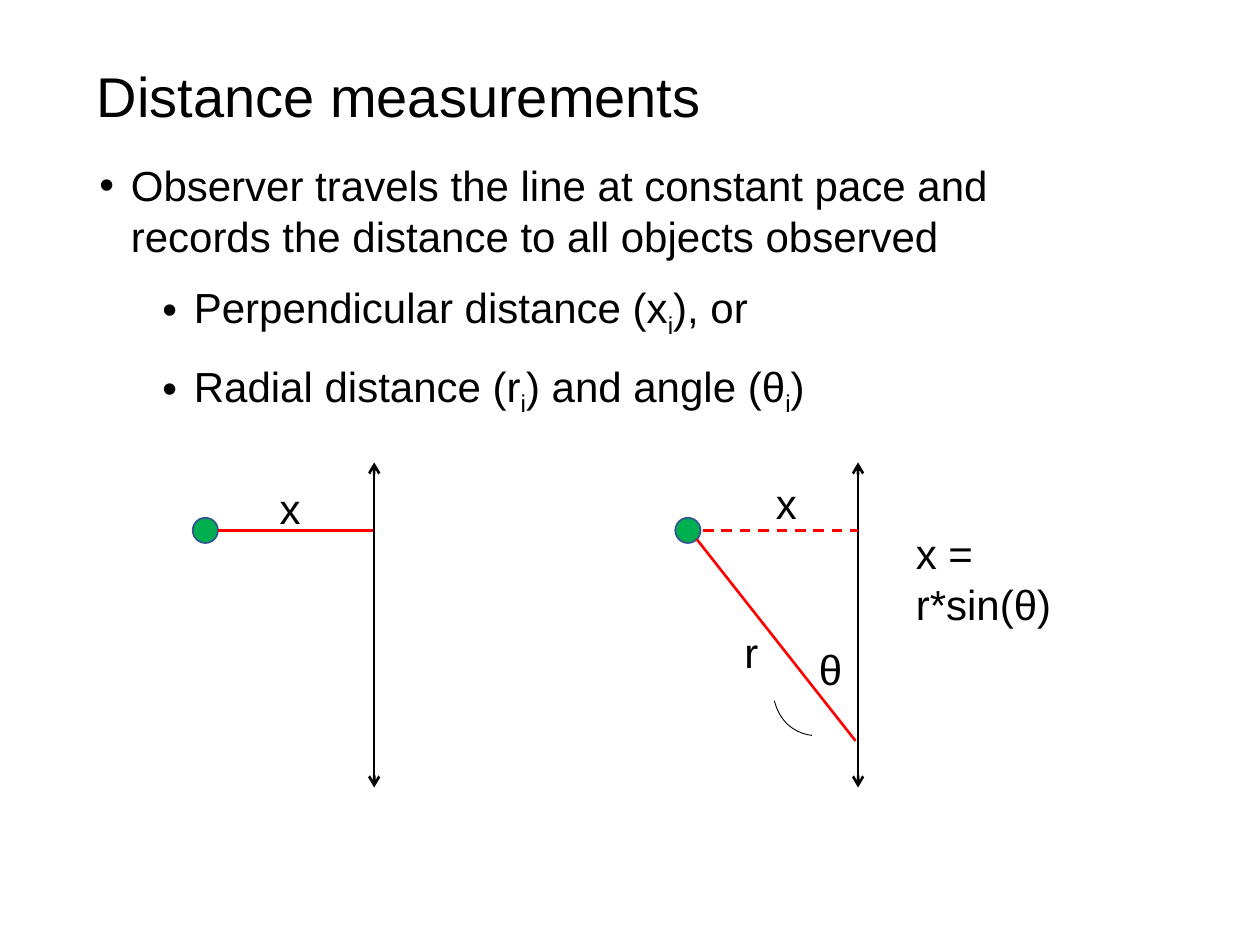
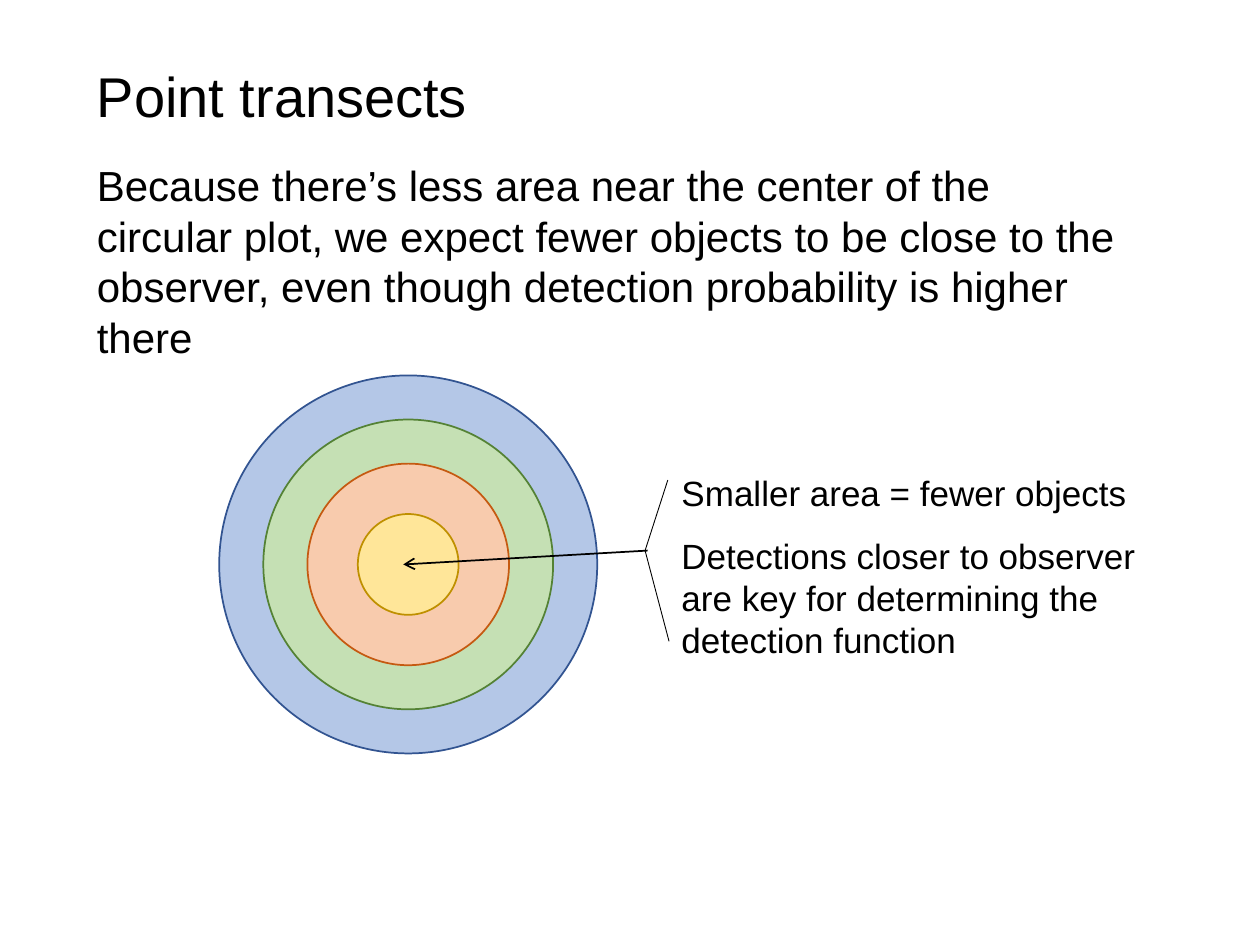
from pptx import Presentation
from pptx import util as u
from pptx.dml.color import RGBColor
from pptx.enum import dml, shapes, text
from pptx.oxml.ns import qn
from lxml import etree

BLACK = RGBColor(0x00, 0x00, 0x00)
RED = RGBColor(0xFF, 0x00, 0x00)
GREEN = RGBColor(0x00, 0xB0, 0x50)
NAVY = RGBColor(0x32, 0x54, 0x91)
RINGS = [
    (1.5, RGBColor(0xB4, 0xC7, 0xE7), NAVY),
    (1.15, RGBColor(0xC5, 0xE0, 0xB4), RGBColor(0x54, 0x82, 0x35)),
    (0.8, RGBColor(0xF8, 0xCB, 0xAD), RGBColor(0xC5, 0x5A, 0x11)),
    (0.4, RGBColor(0xFF, 0xE6, 0x99), RGBColor(0xBF, 0x90, 0x00)),
]
FONT = {"name": "Arial", "size": u.Pt(24)}
FRAME = {"auto_size": text.MSO_AUTO_SIZE.SHAPE_TO_FIT_TEXT, "word_wrap": True}


def apply_format(target, values):
    for name, value in values.items():
        setattr(target, name, value)


def add_run(paragraph, words, size, subscript=False):
    run = paragraph.add_run()
    run.text = words
    apply_format(run.font, {**FONT, "size": u.Pt(size)})
    run.font.color.rgb = BLACK
    if subscript:
        run.font._element.set("baseline", "-25000")


def add_bullet(paragraph, level):
    properties = paragraph._p.get_or_add_pPr()
    margin = 0.75 if level else 0.25
    properties.set("marL", str(u.Inches(margin)))
    properties.set("indent", str(u.Inches(-0.25)))
    etree.SubElement(properties, qn("a:buFont")).set("typeface", "Arial")
    etree.SubElement(properties, qn("a:buChar")).set("char", "•")


def add_text(slide, box, paragraphs, size=24, after=0, levels=None, wrap=True):
    shape = slide.shapes.add_textbox(*map(u.Inches, box))
    frame = shape.text_frame
    apply_format(frame, {**FRAME, "word_wrap": wrap})
    for index, pieces in enumerate(paragraphs):
        paragraph = frame.add_paragraph() if index else frame.paragraphs[0]
        paragraph.space_after = u.Pt(after)
        if levels:
            paragraph.level = levels[index]
            add_bullet(paragraph, levels[index])
        for position, words in enumerate(pieces):
            add_run(paragraph, words, size, subscript=position % 2 == 1)


def add_label(slide, left, top, width, words):
    add_text(slide, (left, top, width, 0.5), [[words]], wrap=False)


def add_circle(parent, center_x, center_y, radius, fill, outline):
    box = (center_x - radius, center_y - radius, 2 * radius, 2 * radius)
    circle = parent.add_shape(shapes.MSO_SHAPE.OVAL, *map(u.Inches, box))
    circle.shadow.inherit = False
    circle.fill.solid()
    circle.fill.fore_color.rgb = fill
    circle.line.color.rgb = outline
    circle.line.width = u.Pt(1)


def add_line(slide, start, end, color=BLACK, width=1.5, dash=None, arrows=()):
    connector = slide.shapes.add_connector(
        shapes.MSO_CONNECTOR.STRAIGHT, *map(u.Inches, (*start, *end)))
    line = connector.line
    line.color.rgb = color
    apply_format(line, {"width": u.Pt(width), "dash_style": dash})
    for arrow in arrows:
        etree.SubElement(line._get_or_add_ln(), qn(f"a:{arrow}")).set("type", "arrow")
    etree.SubElement(connector._element.spPr, qn("a:effectLst"))


def add_angle_arc(slide):
    arc = slide.shapes.add_shape(
        shapes.MSO_SHAPE.ARC, *map(u.Inches, (6.07, 4.96, 1, 0.81)))
    arc.shadow.inherit = False
    arc.rotation = 302.9
    for index, degrees in enumerate((162, 212.15)):
        arc.adjustments[index] = degrees * 0.6
    arc.fill.background()
    arc.line.color.rgb = BLACK
    arc.line.width = u.Pt(0.5)


def add_transect(slide, line_x, object_x):
    add_line(slide, (line_x, 3.67), (line_x, 6.25), arrows=("headEnd", "tailEnd"))
    add_circle(slide.shapes, object_x, 4.21, 0.1, GREEN, NAVY)


def add_titled_slide(presentation, title):
    slide = presentation.slides.add_slide(presentation.slide_layouts[6])
    add_text(slide, (0.67, 0.44, 8.69, 0.64), [[title]], size=32, after=12)
    return slide


def build_distance_slide(presentation):
    slide = add_titled_slide(presentation, "Distance measurements")
    add_text(slide, (0.69, 1.22, 8.45, 2.05), [
        ["Observer travels the line at constant pace and records the distance to all objects observed"],
        ["Perpendicular distance (x", "i", "), or"],
        ["Radial distance (r", "i", ") and angle (θ", "i", ")"],
    ], after=12, levels=(0, 1, 1))

    add_transect(slide, 2.97, 1.63)
    add_line(slide, (1.73, 4.21), (2.96, 4.21), RED)
    add_label(slide, 2.12, 3.78, 0.35, "x")

    add_transect(slide, 6.81, 5.46)
    add_line(slide, (5.53, 4.28), (6.79, 5.88), RED)
    add_line(slide, (5.58, 4.21), (6.81, 4.21), RED, dash=dml.MSO_LINE.DASH)
    add_angle_arc(slide)
    add_text(slide, (7.17, 4.14, 1.72, 0.5), [["x = r*sin(θ)"]])
    add_label(slide, 6.4, 5.06, 0.38, "θ")
    add_label(slide, 5.81, 4.92, 0.32, "r")
    add_label(slide, 6.06, 3.74, 0.35, "x")


def build_point_slide(presentation):
    slide = add_titled_slide(presentation, "Point transects")
    add_text(slide, (0.67, 1.22, 8.45, 1.31), [[
        "Because there’s less area near the center of the circular plot, we expect fewer objects "
        "to be close to the observer, even though detection probability is higher there"]], after=24)

    plot = slide.shapes.add_group_shape()
    for radius, fill, outline in RINGS:
        add_circle(plot.shapes, 3.24, 4.48, radius, fill, outline)

    add_line(slide, (3.2, 4.48), (5.14, 4.37), width=1, arrows=("headEnd",))
    add_text(slide, (5.31, 3.69, 3.81, 1.62), [
        ["Smaller area = fewer objects"],
        ["Detections closer to observer are key for determining the detection function"],
    ], size=20, after=12)
    for bracket_end in ((5.3, 3.81), (5.31, 5.09)):
        add_line(slide, (5.12, 4.37), bracket_end, width=0.5)


def main():
    presentation = Presentation()
    apply_format(presentation, {"slide_width": u.Inches(10), "slide_height": u.Inches(7.5)})
    build_distance_slide(presentation)
    build_point_slide(presentation)
    presentation.save("out.pptx")


if __name__ == "__main__":
    main()
